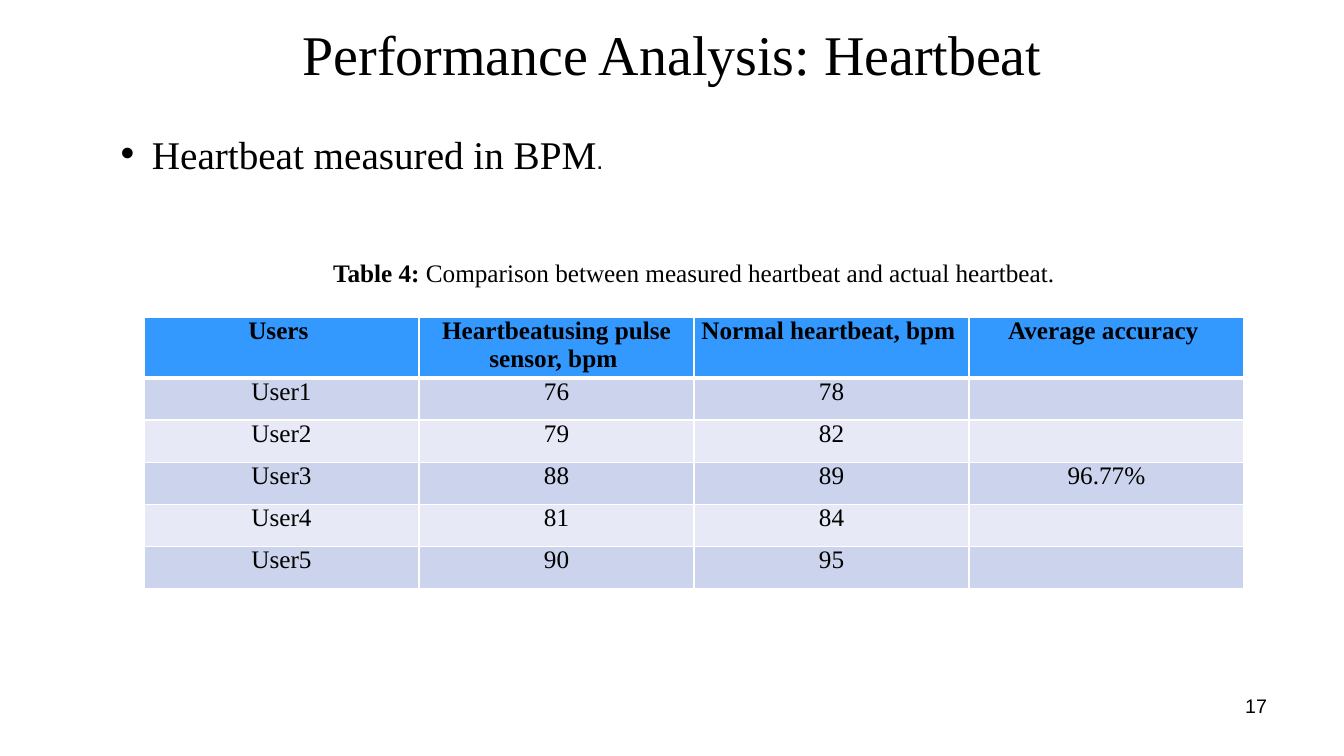
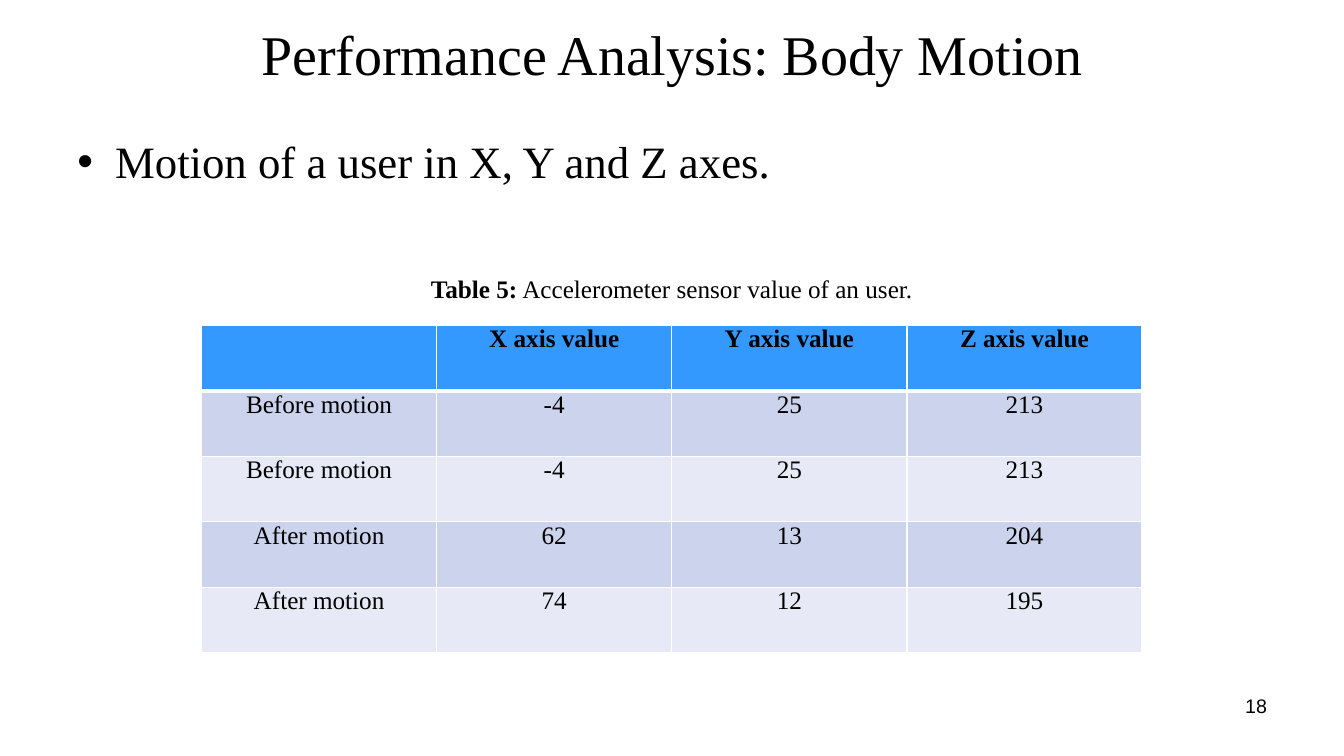
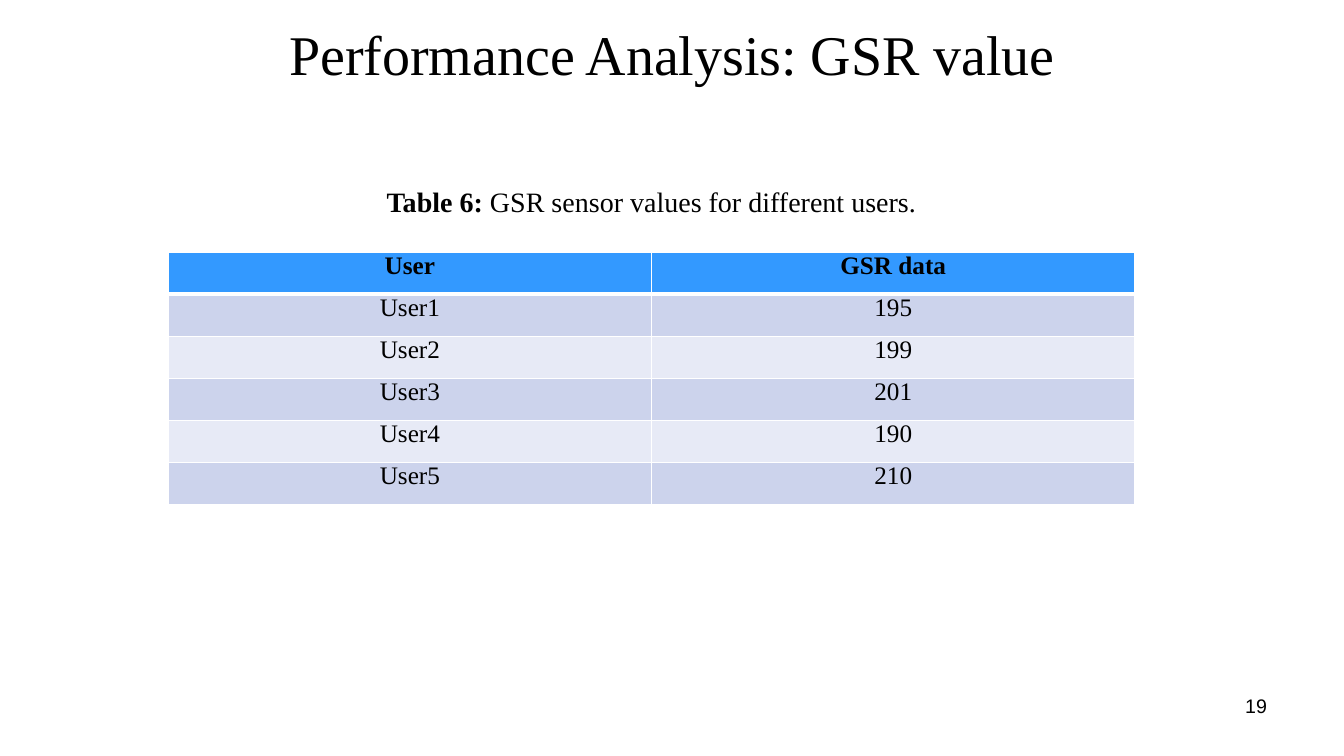
from lxml import etree
from pptx import Presentation
from pptx.dml.color import RGBColor
from pptx.enum import text as t
from pptx.oxml import ns
from pptx.util import Cm, Pt

BLACK = RGBColor(0x00, 0x00, 0x00)
BLUE = RGBColor(0x33, 0x99, 0xFF)
DARK = RGBColor(0xCC, 0xD3, 0xEC)
LIGHT = RGBColor(0xE7, 0xEA, 0xF6)
WHITE = RGBColor(0xFF, 0xFF, 0xFF)
SERIF, SANS = "Times New Roman", "Arial"
LEFT, MID, RIGHT = t.PP_ALIGN.LEFT, t.PP_ALIGN.CENTER, t.PP_ALIGN.RIGHT


def write(para, runs, align=MID):
    """Add runs given as (words, size, bold, font)."""
    para.alignment = align
    for words, size, bold, face in runs:
        run = para.add_run()
        run.text = words
        run.font.size = Pt(size)
        run.font.bold = bold
        run.font.name = face
        run.font.color.rgb = BLACK


def box(slide, place, anchor=t.MSO_ANCHOR.TOP):
    """Add a wrapping text box and return its first paragraph."""
    frame = slide.shapes.add_textbox(*[Cm(n) for n in place]).text_frame
    frame.word_wrap = True
    frame.vertical_anchor = anchor
    return frame.paragraphs[0]


# Content: table is left, top, width; heights are header row, other rows
pages = [
    dict(
        title="Heartbeat",
        bullet=((2.79, 3.15, 13.54, 1.45), 0.79,
                [("Heartbeat measured in BPM", 28, False, SERIF),
                 (".", 18, False, SANS)]),
        label="Table 4:",
        about=" Comparison between measured heartbeat and actual heartbeat.",
        size=18, top=6.35, table=(3.63, 8, 27.72), heights=(1.52, 1.06),
        rows=[("Users ", "Heartbeatusing pulse sensor, bpm ",
               "Normal heartbeat, bpm ", "Average accuracy "),
              ("User1", "76", "78", ""),
              ("User2", "79", "82", ""),
              ("User3", "88", "89", "96.77%"),
              ("User4", "81", "84", ""),
              ("User5", "90", "95", "")]),
    dict(
        title="Body Motion",
        bullet=((1.7, 3.25, 30.48, 13.77), 0.95,
                [("Motion of a user in X, Y and Z axes.", 32, False, SERIF)]),
        label="Table 5:",
        about=" Accelerometer sensor value of an user.",
        size=18, top=6.76, table=(5.08, 8.2, 23.7), heights=(1.65, 1.65),
        rows=[("", "X axis value", "Y axis value", "Z axis value"),
              ("Before motion", "-4", "25", "213"),
              ("Before motion", "-4", "25", "213"),
              ("After motion", "62", "13", "204"),
              ("After motion", "74", "12", "195")]),
    dict(
        title="GSR value",
        bullet=None,
        label="Table 6:",
        about=" GSR sensor values for different users.",
        size=20, top=4.52, table=(4.24, 6.35, 24.36), heights=(1.06, 1.06),
        rows=[("User", "GSR data"),
              ("User1", "195"),
              ("User2", "199"),
              ("User3", "201"),
              ("User4", "190"),
              ("User5", "210")]),
]

deck = Presentation()
deck.slide_width, deck.slide_height = Cm(33.87), Cm(19.05)

for num, page in enumerate(pages, 17):
    slide = deck.slides.add_slide(deck.slide_layouts[6])

    # Title and slide number
    para = box(slide, (1.7, 0.53, 30.48, 1.63), t.MSO_ANCHOR.MIDDLE)
    write(para, [("Performance Analysis: " + page["title"], 40, False, SERIF)])
    para = box(slide, (24.28, 17.35, 7.9, 1.32))
    write(para, [(str(num), 14, False, SANS)], RIGHT)

    # Bullet
    if page["bullet"]:
        place, indent, runs = page["bullet"]
        para = box(slide, place)
        props = para._p.get_or_add_pPr()
        props.set("marL", str(Cm(indent)))
        props.set("indent", str(-Cm(indent)))
        etree.SubElement(props, ns.qn("a:buFont"), typeface=SANS)
        etree.SubElement(props, ns.qn("a:buChar"), char="•")
        write(para, runs, LEFT)

    # Caption
    left, top, width = page["table"]
    para = box(slide, (left, page["top"], width, 1.02))
    write(para, [(page["label"], page["size"], True, SERIF),
                 (page["about"], page["size"], False, SERIF)])

    # Table
    rows, (head, body) = page["rows"], page["heights"]
    cols = len(rows[0])
    tall = head + body * (len(rows) - 1)
    grid = slide.shapes.add_table(len(rows), cols, Cm(left), Cm(top),
                                  Cm(width), Cm(tall)).table
    for col in grid.columns:
        col.width = Cm(width / cols)
    for r, row in enumerate(rows):
        grid.rows[r].height = Cm(body if r else head)
        for c, words in enumerate(row):
            cell = grid.cell(r, c)
            cell.margin_left = cell.margin_right = Cm(0.18)
            cell.margin_top = cell.margin_bottom = 0
            # The rule under the header is thicker
            for side in "LRTB":
                thick = (r, side) in ((0, "B"), (1, "T"))
                line = etree.SubElement(cell._tc.get_or_add_tcPr(),
                                        ns.qn("a:ln" + side),
                                        w=str(Pt(3 if thick else 1)))
                fill = etree.SubElement(line, ns.qn("a:solidFill"))
                etree.SubElement(fill, ns.qn("a:srgbClr"), val=str(WHITE))
            cell.fill.solid()
            cell.fill.fore_color.rgb = (
                BLUE if r == 0 else DARK if r % 2 else LIGHT)
            if words:
                write(cell.text_frame.paragraphs[0],
                      [(words, 18, r == 0, SERIF)])

deck.save("out.pptx")
